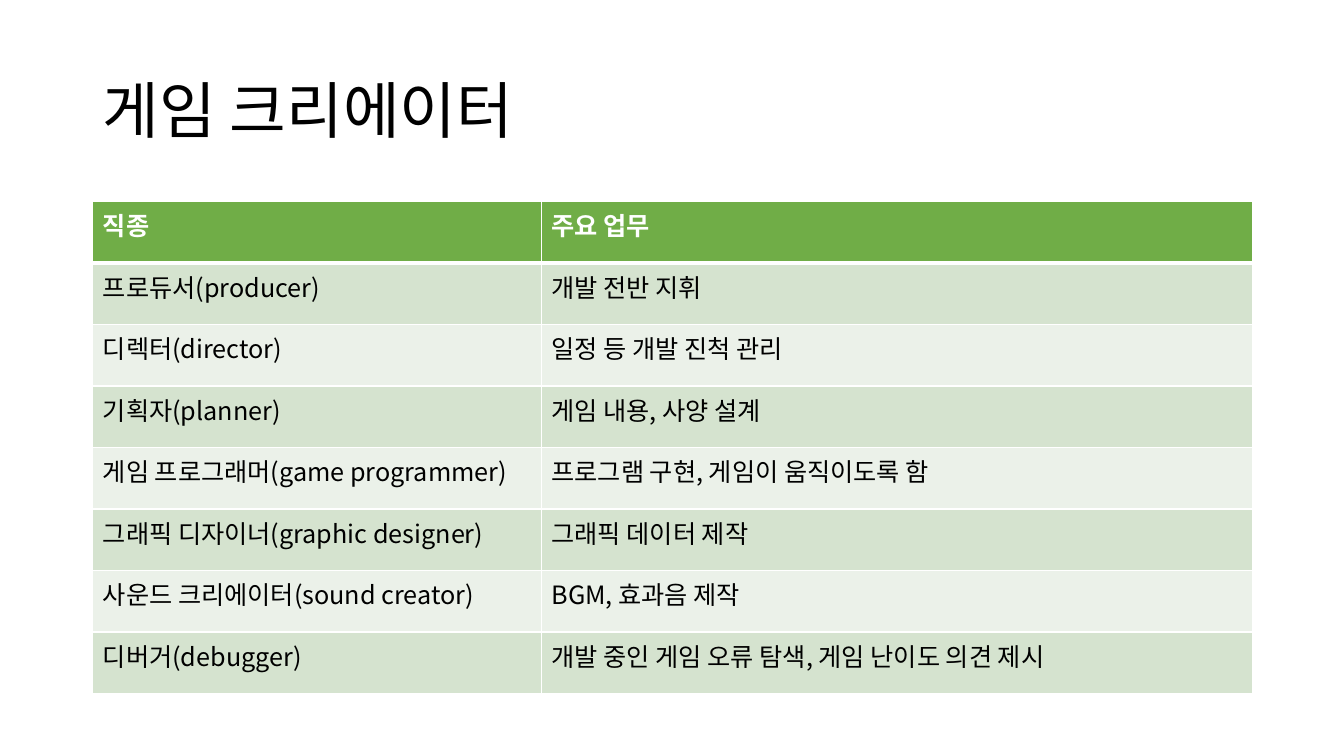
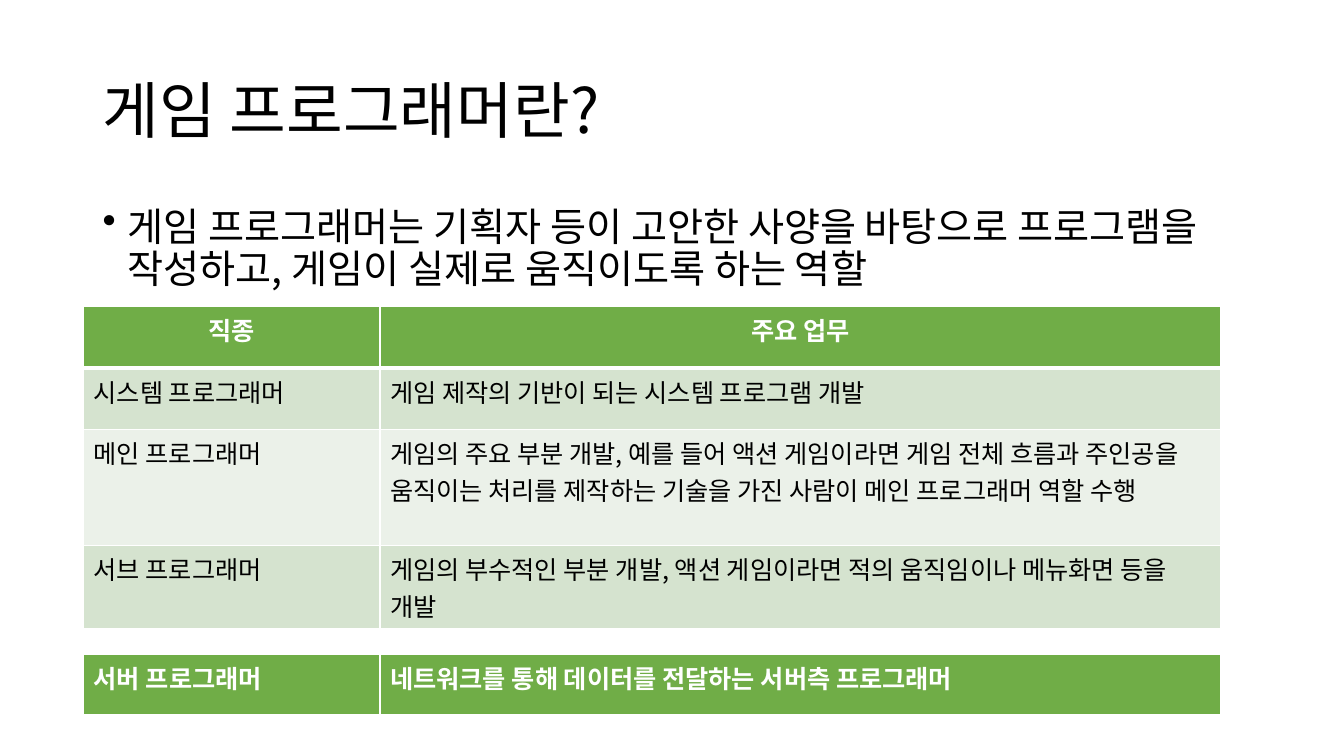
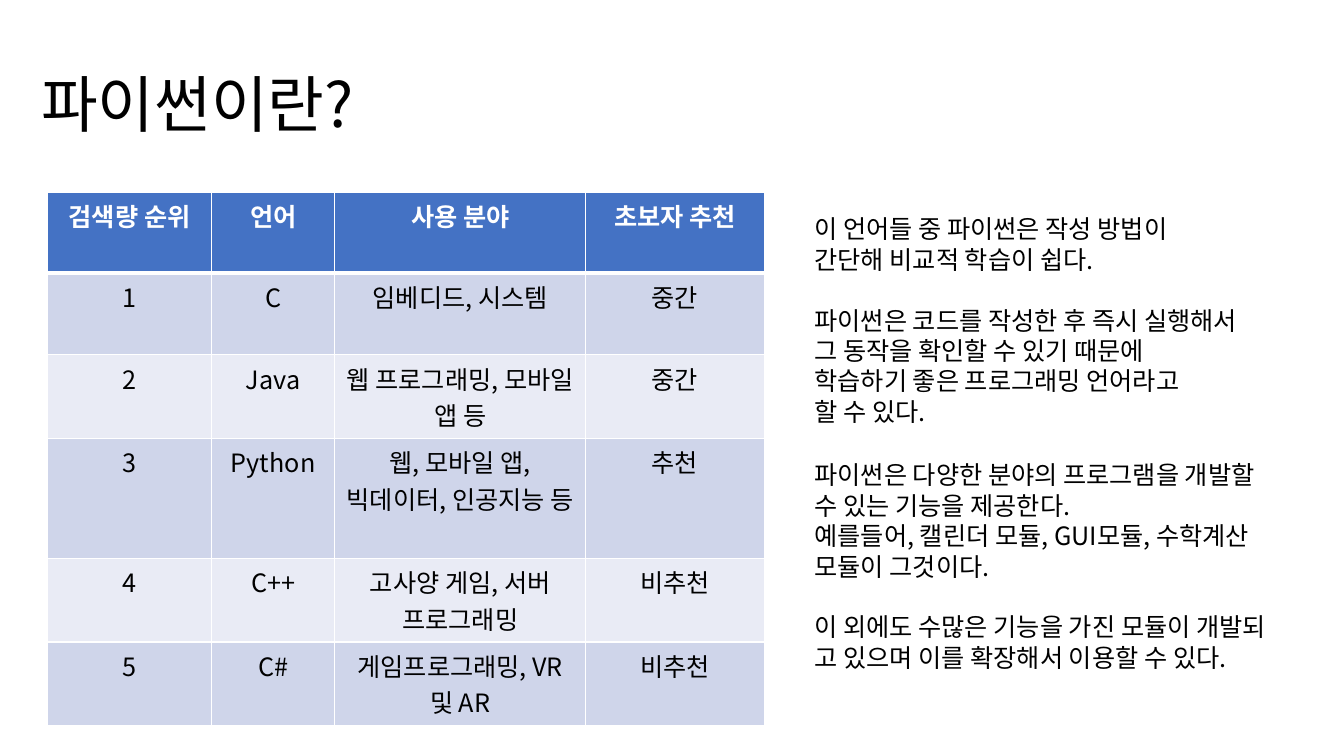
from pptx import Presentation
from pptx.dml.color import RGBColor
from pptx.enum import text
from pptx.oxml import ns
from pptx.util import Inches, Pt
from lxml import etree

FONT = "Noto Sans CJK KR"
BLACK = RGBColor(0x00, 0x00, 0x00)
WHITE = RGBColor(0xFF, 0xFF, 0xFF)
# Table palettes: header, odd rows, even rows
GREEN = (RGBColor(0x70, 0xAD, 0x47), RGBColor(0xD5, 0xE3, 0xCF), RGBColor(0xEB, 0xF1, 0xE9))
BLUE = (RGBColor(0x44, 0x72, 0xC4), RGBColor(0xCF, 0xD5, 0xEA), RGBColor(0xE9, 0xEB, 0xF5))

LEFT, CENTER = text.PP_ALIGN.LEFT, text.PP_ALIGN.CENTER
TEXT_SIZE = 18
LINE_PITCH = Pt(21.7)

JOBS = [
    ("직종", "주요 업무"),
    ("프로듀서(producer)", "개발 전반 지휘"),
    ("디렉터(director)", "일정 등 개발 진척 관리"),
    ("기획자(planner)", "게임 내용, 사양 설계"),
    ("게임 프로그래머(game programmer)", "프로그램 구현, 게임이 움직이도록 함"),
    ("그래픽 디자이너(graphic designer)", "그래픽 데이터 제작"),
    ("사운드 크리에이터(sound creator)", "BGM, 효과음 제작"),
    ("디버거(debugger)", "개발 중인 게임 오류 탐색, 게임 난이도 의견 제시"),
]
PROGRAMMERS = [
    ("직종", "주요 업무"),
    ("시스템 프로그래머", "게임 제작의 기반이 되는 시스템 프로그램 개발"),
    ("메인 프로그래머", "게임의 주요 부분 개발, 예를 들어 액션 게임이라면 게임 전체 흐름과 주인공을 "
     "움직이는 처리를 제작하는 기술을 가진 사람이 메인 프로그래머 역할 수행"),
    ("서브 프로그래머", "게임의 부수적인 부분 개발, 액션 게임이라면 적의 움직임이나 메뉴화면 등을 개발"),
]
SERVER = [("서버 프로그래머", "네트워크를 통해 데이터를 전달하는 서버측 프로그래머")]
LANGUAGES = [
    ("검색량 순위", "언어", "사용 분야", "초보자 추천"),
    ("1", "C", "임베디드, 시스템", "중간"),
    ("2", "Java", "웹 프로그래밍, 모바일 앱 등", "중간"),
    ("3", "Python", "웹, 모바일 앱, 빅데이터, 인공지능 등", "추천"),
    ("4", "C++", "고사양 게임, 서버 프로그래밍", "비추천"),
    ("5", "C#", "게임프로그래밍, VR 및 AR", "비추천"),
]
ROLE = "게임 프로그래머는 기획자 등이 고안한 사양을 바탕으로 프로그램을 작성하고, 게임이 실제로 움직이도록 하는 역할"
# Each note is a list of groups of lines
EASE_NOTE = [
    ["이 언어들 중 파이썬은 작성 방법이", "간단해 비교적 학습이 쉽다."],
    ["파이썬은 코드를 작성한 후 즉시 실행해서", "그 동작을 확인할 수 있기 때문에",
     "학습하기 좋은 프로그래밍 언어라고", "할 수 있다."],
]
MODULE_NOTE = [
    ["파이썬은 다양한 분야의 프로그램을 개발할", "수 있는 기능을 제공한다.",
     "예를들어, 캘린더 모듈, GUI모듈, 수학계산", "모듈이 그것이다."],
    ["이 외에도 수많은 기능을 가진 모듈이 개발되", "고 있으며 이를 확장해서 이용할 수 있다."],
]


def set_text(paragraph, content, size, color=BLACK, bold=False):
    paragraph.text = content
    font = paragraph.font
    font.name, font.size, font.bold = FONT, Pt(size), bold
    font.color.rgb = color
    properties = paragraph._p.pPr.find(ns.qn("a:defRPr"))
    etree.SubElement(properties, ns.qn("a:ea"), typeface=FONT)


def add_frame(slide, left, top, width, height):
    box = slide.shapes.add_textbox(Inches(left), Inches(top), Inches(width), Inches(height))
    box.text_frame.word_wrap = True
    return box.text_frame


def add_title(slide, content, left=0.92, top=0.4):
    frame = add_frame(slide, left, top, 11.5, 1.45)
    frame.vertical_anchor = text.MSO_ANCHOR.MIDDLE
    paragraph = frame.paragraphs[0]
    paragraph.line_spacing = 0.9
    set_text(paragraph, content, 44)


def add_bullet(slide, content, left, top, width, height):
    paragraph = add_frame(slide, left, top, width, height).paragraphs[0]
    paragraph.line_spacing = Pt(30.3)
    set_text(paragraph, content, 28)
    properties = paragraph._p.pPr
    properties.set("marL", str(Inches(0.25)))
    properties.set("indent", str(-Inches(0.25)))
    bullet = etree.Element(ns.qn("a:buChar"), char="•")
    properties.find(ns.qn("a:defRPr")).addprevious(bullet)


def add_note(slide, groups, left, top, width, height):
    frame = add_frame(slide, left, top, width, height)
    paragraph = frame.paragraphs[0]
    for group_index, lines in enumerate(groups):
        for line_index, line in enumerate(lines):
            if group_index or line_index:
                paragraph = frame.add_paragraph()
            paragraph.line_spacing = LINE_PITCH
            if group_index and not line_index:
                paragraph.space_before = LINE_PITCH
            set_text(paragraph, line, TEXT_SIZE)


def set_borders(cell, top, bottom):
    properties = cell._tc.get_or_add_tcPr()
    widths = {"lnL": 1, "lnR": 1, "lnT": top, "lnB": bottom}
    for index, (side, width) in enumerate(widths.items()):
        line = etree.Element(ns.qn("a:" + side), w=str(Pt(width)))
        fill = etree.SubElement(line, ns.qn("a:solidFill"))
        etree.SubElement(fill, ns.qn("a:srgbClr"), val=str(WHITE))
        properties.insert(index, line)


def add_grid(slide, rows, left, top, widths, heights, palette, header_align=LEFT, body_align=LEFT):
    """Table with a coloured first row and two alternating row colours."""
    header, odd, even = palette
    table = slide.shapes.add_table(
        len(rows), len(widths), Inches(left), Inches(top),
        Inches(sum(widths)), Inches(sum(heights))).table
    table.first_row = table.horz_banding = False
    for column, width in zip(table.columns, widths):
        column.width = Inches(width)
    for row_index, (row, values, height) in enumerate(zip(table.rows, rows, heights)):
        row.height = Inches(height)
        is_header = row_index == 0
        for cell, value in zip(row.cells, values):
            cell.fill.solid()
            cell.fill.fore_color.rgb = header if is_header else odd if row_index % 2 else even
            # The rule under the header is thicker
            set_borders(cell, 3 if row_index == 1 else 1, 3 if is_header else 1)
            paragraph = cell.text_frame.paragraphs[0]
            paragraph.alignment = header_align if is_header else body_align
            set_text(paragraph, value, TEXT_SIZE, WHITE if is_header else BLACK, is_header)


def build_creators(slide):
    add_title(slide, "게임 크리에이터")
    add_grid(slide, JOBS, 0.92, 2, [4.45, 7.05], [0.61] * len(JOBS), GREEN)


def build_programmers(slide):
    add_title(slide, "게임 프로그래머란?")
    add_bullet(slide, ROLE, 0.92, 2, 11.5, 1.22)
    left, widths = 0.83, [2.94, 8.34]
    add_grid(slide, PROGRAMMERS, left, 3.04, widths, [0.61, 0.61, 1.15, 0.83], GREEN, CENTER)
    add_grid(slide, SERVER, left, 6.49, widths, [0.61], GREEN)


def build_python(slide):
    add_title(slide, "파이썬이란?", 0.31, 0.34)
    # Rows are as tall as their one, two or three lines need
    heights = [0.8, 0.81, 0.83, 1.19, 0.83, 0.83]
    add_grid(slide, LANGUAGES, 0.47, 1.91, [1.63, 1.22, 2.49, 1.77],
             heights, BLUE, CENTER, CENTER)
    add_note(slide, EASE_NOTE, 7.98, 2.07, 5.03, 2.22)
    add_note(slide, MODULE_NOTE, 7.98, 4.51, 5.28, 2.22)


def main():
    presentation = Presentation()
    presentation.slide_width, presentation.slide_height = Inches(13.33), Inches(7.5)
    blank = presentation.slide_layouts[6]
    for build in (build_creators, build_programmers, build_python):
        build(presentation.slides.add_slide(blank))
    presentation.save("out.pptx")


if __name__ == "__main__":
    main()
